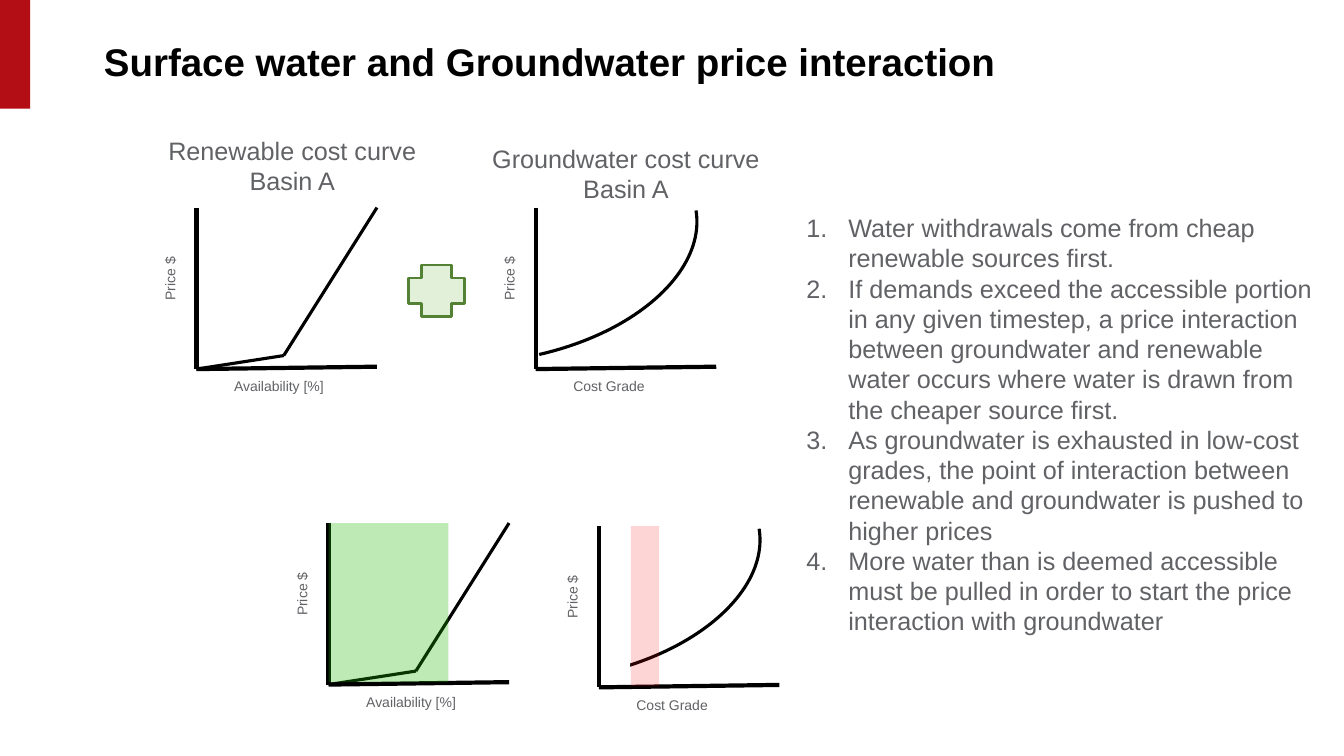
"""Build the slide on surface water and groundwater price interaction."""
from dataclasses import dataclass

from lxml.etree import SubElement
from pptx import Presentation
from pptx.dml.color import RGBColor
from pptx.enum.shapes import MSO_CONNECTOR, MSO_SHAPE
from pptx.enum.text import MSO_ANCHOR, PP_ALIGN
from pptx.oxml.ns import qn
from pptx.util import Cm, Pt


@dataclass(frozen=True)
class Theme:
    """Colours, font and type sizes."""
    font: str = "Arial"
    title_size: float = 27.5
    body_size: float = 18
    label_size: float = 10
    axis_width: float = 3
    curve_width: float = 2.25
    black: str = "000000"
    white: str = "FFFFFF"
    grey: str = "616265"
    bar: str = "B30D15"
    plus_fill: str = "E2F0D9"
    plus_line: str = "548235"
    available: str = "20B800"
    grade: str = "F30900"


class SlideBuilder:
    """Draws styled elements on one slide, with lengths in centimetres."""

    def __init__(self, slide, theme):
        self.slide = slide
        self.theme = theme

    def format_text(self, tf, lines, size, color, bold=False,
                    align=PP_ALIGN.LEFT, numbered=False):
        """Fill a text frame with formatted paragraphs."""
        for i, line in enumerate(lines):
            p = tf.paragraphs[0] if i == 0 else tf.add_paragraph()
            p.alignment = align
            if numbered:
                pPr = p._p.get_or_add_pPr()
                pPr.set("marL", str(Cm(1.06)))
                pPr.set("indent", str(Cm(-1.06)))
                SubElement(pPr, qn("a:buFont"), typeface="+mj-lt")
                SubElement(pPr, qn("a:buAutoNum"), type="arabicPeriod")
            r = p.add_run()
            r.text = line
            r.font.name = self.theme.font
            r.font.size = Pt(size)
            r.font.bold = bold
            r.font.color.rgb = RGBColor.from_string(color)

    def title(self, text, x, y, w, h):
        """Place and format the title placeholder."""
        sp = self.slide.shapes.title
        sp.left, sp.top, sp.width, sp.height = Cm(x), Cm(y), Cm(w), Cm(h)
        tf = sp.text_frame
        tf.margin_left = tf.margin_right = tf.margin_top = tf.margin_bottom = 0
        tf.vertical_anchor = MSO_ANCHOR.TOP
        self.format_text(tf, [text], self.theme.title_size, self.theme.black, bold=True)

    def text(self, lines, x, y, w, h, size, rotation=0, wrap=True, **fmt):
        """Add a grey text box."""
        sp = self.slide.shapes.add_textbox(Cm(x), Cm(y), Cm(w), Cm(h))
        sp.rotation = rotation
        sp.text_frame.word_wrap = wrap
        self.format_text(sp.text_frame, lines, size, self.theme.grey, **fmt)

    def shape(self, kind, x, y, w, h, fill=None, alpha=None, line=None, width=0):
        """Add a preset shape without shadow."""
        sp = self.slide.shapes.add_shape(kind, Cm(x), Cm(y), Cm(w), Cm(h))
        sp.shadow.inherit = False
        if fill:
            sp.fill.solid()
            sp.fill.fore_color.rgb = RGBColor.from_string(fill)
        else:
            sp.fill.background()
        if alpha:
            clr = sp.fill._xPr.find(qn("a:solidFill"))[0]
            SubElement(clr, qn("a:alpha"), val=str(alpha * 1000))
        if line:
            sp.line.color.rgb = RGBColor.from_string(line)
            sp.line.width = Pt(width)
        else:
            sp.line.fill.background()
        return sp

    def line(self, x1, y1, x2, y2, width):
        """Add a straight black line."""
        cxn = self.slide.shapes.add_connector(
            MSO_CONNECTOR.STRAIGHT, Cm(x1), Cm(y1), Cm(x2), Cm(y2))
        cxn.line.color.rgb = RGBColor.from_string(self.theme.black)
        cxn.line.width = Pt(width)
        SubElement(cxn._element.spPr, qn("a:effectLst"))

    def axes(self, x, y, x_label):
        """Draw labelled axes whose vertical axis starts at x, y."""
        t = self.theme
        self.line(x + 4.55, y + 4.01, x, y + 4.07, t.axis_width)
        self.line(x, y, x, y + 4.07, t.axis_width)
        self.text(["Price $"], x - 1.52, y + 1.4, 1.7, 0.68, t.label_size,
                  rotation=270, wrap=False)
        self.text([x_label], x + 0.7, y + 4.17, 3.33, 0.68, t.label_size)

    def renewable_plot(self, x, y):
        """Draw the two-part renewable cost curve."""
        self.axes(x, y, "Availability [%]")
        points = [(x, y + 4.07), (x + 2.2, y + 3.73), (x + 4.55, y)]
        for start, end in zip(points, points[1:]):
            self.line(*start, *end, self.theme.curve_width)

    def groundwater_plot(self, x, y):
        """Draw the curved groundwater cost curve."""
        self.axes(x, y, "Cost Grade")
        arc = self.shape(MSO_SHAPE.ARC, x - 3.87, y - 4.13, 5.92, 10.03,
                         line=self.theme.black, width=self.theme.curve_width)
        arc.adjustments[0] = 162
        arc.adjustments[1] = 209.879
        arc.rotation = 80.7


def main():
    """Build and save the presentation."""
    prs = Presentation()
    prs.slide_width, prs.slide_height = Cm(33.87), Cm(19.05)
    t = Theme()
    s = SlideBuilder(prs.slides.add_slide(prs.slide_layouts[5]), t)

    s.shape(MSO_SHAPE.RECTANGLE, 0, 0, 0.76, 2.74, fill=t.bar)
    s.title("Surface water and Groundwater price interaction", 2.62, 0.97, 23.29, 1.17)

    for source, x, y in [("Renewable", 3.53, 3.28), ("Groundwater", 11.94, 3.48)]:
        s.text([f"{source} cost curve", "Basin A"], x, y, 7.67, 1.8, t.body_size,
               align=PP_ALIGN.CENTER)

    s.renewable_plot(4.95, 5.23)
    s.shape(MSO_SHAPE.CROSS, 10.29, 6.68, 1.42, 1.3, fill=t.plus_fill,
            line=t.plus_line, width=2)
    s.groundwater_plot(13.5, 5.23)

    s.renewable_plot(8.28, 13.18)
    s.groundwater_plot(15.09, 13.25)
    s.shape(MSO_SHAPE.RECTANGLE, 15.17, 13.18, 0.71, 4.04, fill=t.white)
    s.shape(MSO_SHAPE.RECTANGLE, 8.28, 13.18, 3.02, 4.01, fill=t.available, alpha=29)
    s.shape(MSO_SHAPE.RECTANGLE, 15.9, 13.26, 0.71, 4.04, fill=t.grade, alpha=17)

    s.text([
        "Water withdrawals come from cheap renewable sources first.",
        "If demands exceed the accessible portion in any given timestep, a price "
        "interaction between groundwater and renewable water occurs where water is "
        "drawn from the cheaper source first.",
        "As groundwater is exhausted in low-cost grades, the point of interaction "
        "between renewable and groundwater is pushed to higher prices",
        "More water than is deemed accessible must be pulled in order to start the "
        "price interaction with groundwater",
    ], 20.07, 5.23, 13.31, 11.02, t.body_size, numbered=True)

    prs.save("out.pptx")


if __name__ == "__main__":
    main()
